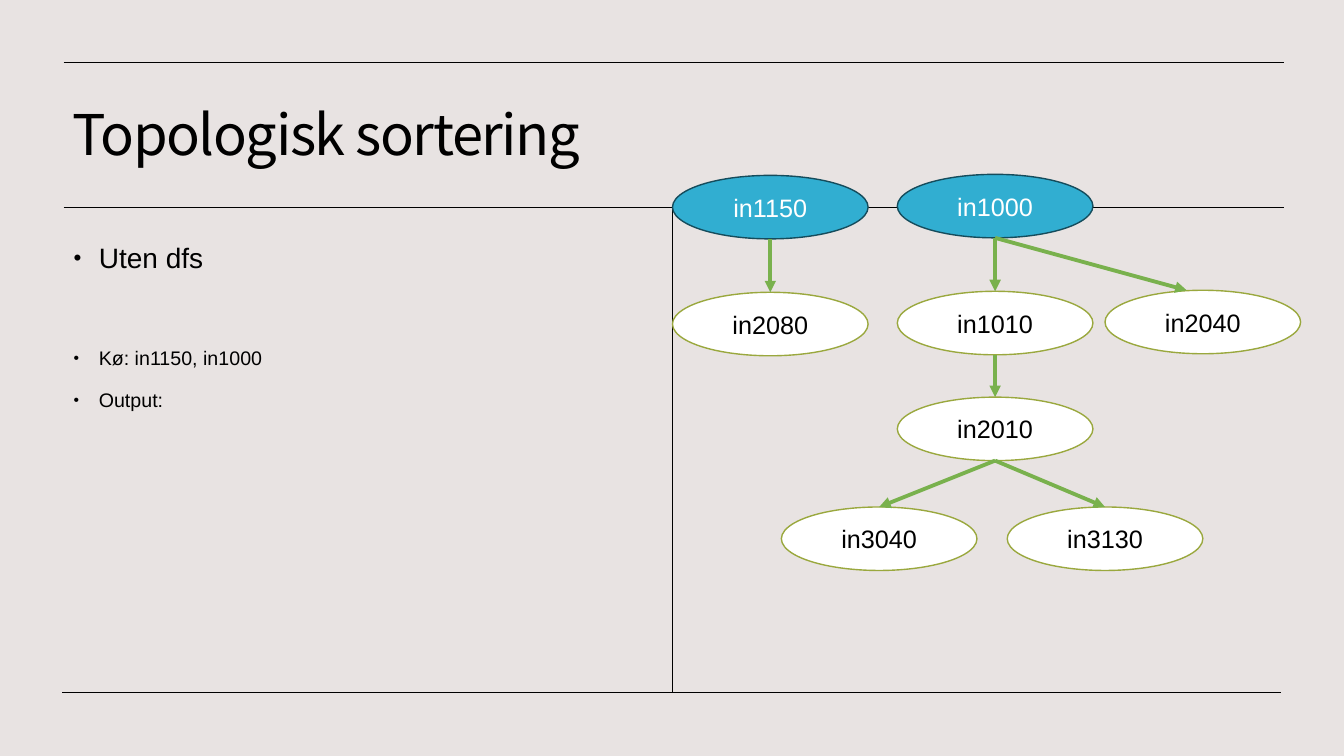
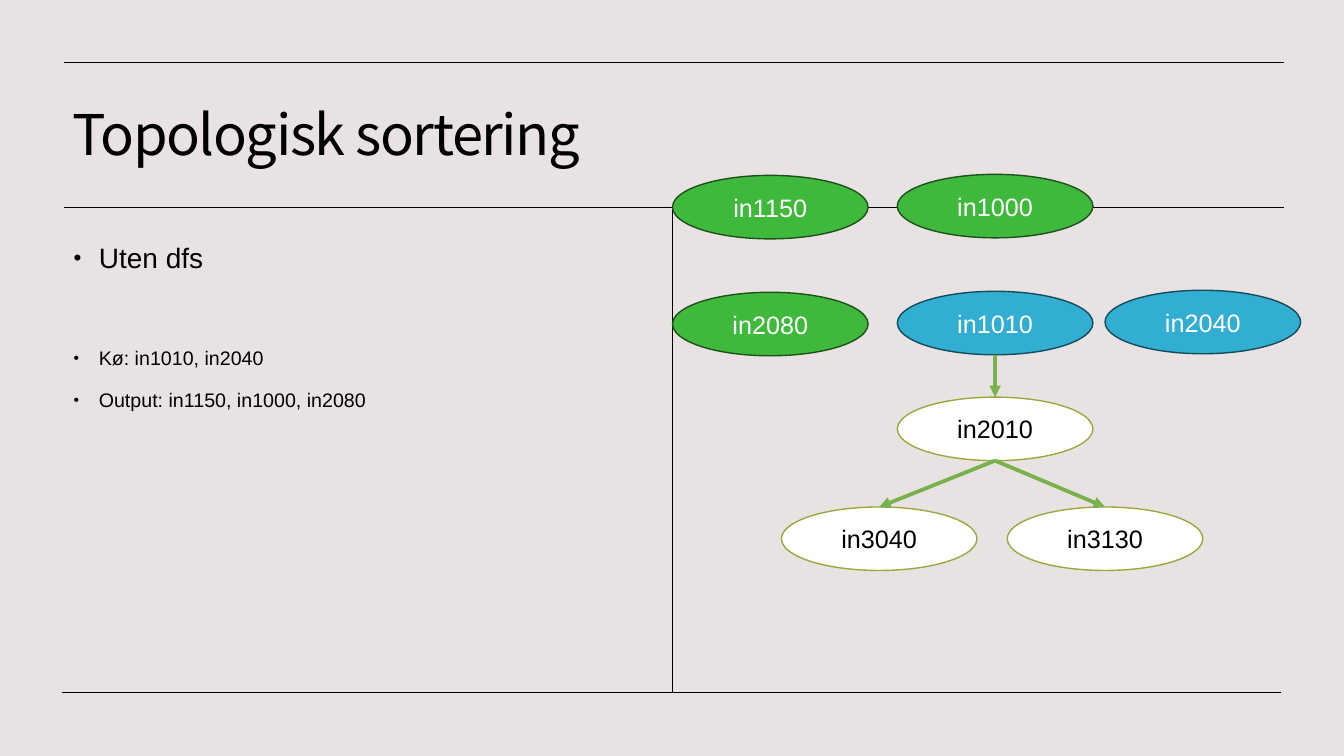
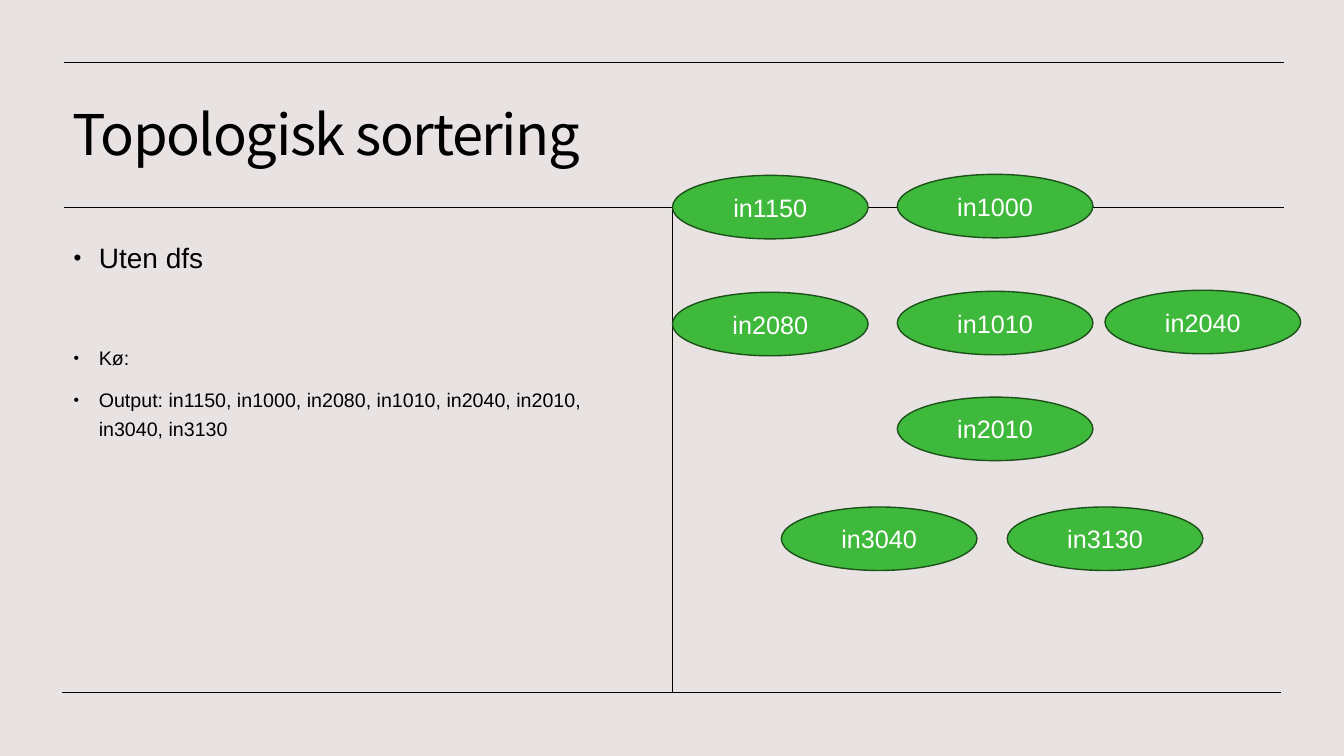
from pptx import Presentation
from pptx.dml.color import RGBColor
from pptx.enum.shapes import MSO_CONNECTOR as Connector, MSO_SHAPE as Shape
from pptx.enum.text import MSO_ANCHOR as Anchor, MSO_AUTO_SIZE as AutoSize, PP_ALIGN as Align
from pptx.oxml.ns import qn
from pptx.util import Inches, Pt
from lxml import etree

# Content: courses, what each one opens for, and the steps of the sort
TITLE = "Topologisk sortering"
METHOD = "Uten dfs"
COURSES = {  # left, top
    "in1150": (6.67, 1.74), "in2080": (6.67, 2.9),
    "in1000": (8.9, 1.73), "in1010": (8.9, 2.89), "in2040": (10.96, 2.88),
    "in2010": (8.9, 3.94), "in3040": (7.75, 5.03), "in3130": (9.99, 5.03),
}
EDGES = [
    ("in1150", "in2080"), ("in1000", "in1010"), ("in1000", "in2040"),
    ("in1010", "in2010"), ("in2010", "in3130"), ("in2010", "in3040"),
]
STEPS = [  # queue, output
    (["in1150", "in1000"], []),
    (["in1010", "in2040"], ["in1150", "in1000", "in2080"]),
    ([], ["in1150", "in1000", "in2080", "in1010", "in2040", "in2010", "in3040", "in3130"]),
]

# Shared look
BACKGROUND, INK, ARROW = "E8E3E2", "000000", "79B14D"
STATES = {  # fill, line, text
    "waiting": ("FFFFFF", "9AA83E", INK),
    "queued": ("31AED1", "154C5C", "FFFFFF"),
    "done": ("3FB93B", "1C511A", "FFFFFF"),
}
TITLE_FONT, BODY_FONT = "Noto Sans CJK KR", "Arial"
TITLE_BOX, BODY_BOX = (0.62, 0.78, 12.08, 1.16), (0.63, 2.27, 5.67, 4.49)
RULES = [(0.62, 6.87, 12.71, 6.87), (0.63, 2.06, 12.73, 2.06),
         (0.63, 0.62, 12.73, 0.62), (6.67, 2.06, 6.67, 6.87)]
OVAL_WIDTH, OVAL_HEIGHT = 1.94, 0.63
SLANTED_END = ("in2040", 11.77, 2.88)  # meets the oval left of its top


def colour(value):
    return RGBColor.from_string(value)


def set_all(target, **values):
    for name, value in values.items():
        setattr(target, name, value)


def style_font(span, name, size, ink=INK):
    set_all(span.font, name=name, size=Pt(size))
    span.font.color.rgb = colour(ink)


def place(box, lengths):
    for name, length in zip(("left", "top", "width", "height"), lengths):
        setattr(box, name, Inches(length))


def add_line(page, ends, ink, width):
    line = page.shapes.add_connector(Connector.STRAIGHT, *map(Inches, ends))
    line.line.color.rgb = colour(ink)
    line.line.width = Pt(width)
    etree.SubElement(line.element.spPr, qn("a:effectLst"))
    return line


def set_up_master(deck, layout):
    fill = deck.slide_master.background.fill
    fill.solid()
    fill.fore_color.rgb = colour(BACKGROUND)
    place(layout.placeholders[0], TITLE_BOX)
    place(layout.placeholders[1], BODY_BOX)


def add_rules(deck, page):
    """Draw the thin rules and move them to the master."""
    for number, ends in enumerate(RULES, start=20):
        rule = add_line(page, ends, INK, 0.5).element
        rule.nvCxnSpPr.cNvPr.id = number
        deck.slide_master.shapes.element.append(rule)


def fill_title(page):
    frame = page.shapes.title.text_frame
    set_all(frame, text=TITLE, auto_size=AutoSize.NONE, vertical_anchor=Anchor.MIDDLE)
    para = frame.paragraphs[0]
    set_all(para, alignment=Align.LEFT, line_spacing=0.9)
    span = para.runs[0]
    style_font(span, TITLE_FONT, 40)
    span.font._element.set("spc", "-100")


def fill_body(page, queue, output):
    lines = [  # text, size, space before
        (METHOD, 20, 10),
        (f"Kø: {', '.join(queue)}".strip(), 14, 48),
        (f"Output: {', '.join(output)}".strip(), 14, 10),
    ]
    frame = page.placeholders[1].text_frame
    set_all(frame, text="\n".join(text for text, _, _ in lines),
            auto_size=AutoSize.NONE, vertical_anchor=Anchor.TOP)
    for para, (_, size, before) in zip(frame.paragraphs, lines):
        set_all(para, line_spacing=1.2, space_before=Pt(before))
        style_font(para.runs[0], BODY_FONT, size)
        props = para._p.get_or_add_pPr()
        props.set("marL", str(Inches(0.25)))
        props.set("indent", str(-Inches(0.25)))
        etree.SubElement(props, qn("a:buSzPct"), val="80000")
        etree.SubElement(props, qn("a:buChar"), char="•")


def add_course(page, name, state):
    fill, edge, ink = STATES[state]
    lengths = (*COURSES[name], OVAL_WIDTH, OVAL_HEIGHT)
    oval = page.shapes.add_shape(Shape.OVAL, *map(Inches, lengths))
    oval.shadow.inherit = False
    oval.fill.solid()
    oval.fill.fore_color.rgb = colour(fill)
    oval.line.color.rgb = colour(edge)
    oval.line.width = Pt(1)
    set_all(oval.text_frame, text=name, vertical_anchor=Anchor.MIDDLE)
    para = oval.text_frame.paragraphs[0]
    para.alignment = Align.CENTER
    style_font(para.runs[0], BODY_FONT, 18, ink)
    return oval


def add_arrow(page, source, target, ovals):
    (left, top), (end_left, end_top) = COURSES[source], COURSES[target]
    start = (left + OVAL_WIDTH / 2, top + OVAL_HEIGHT)
    slanted = target == SLANTED_END[0]
    end = SLANTED_END[1:] if slanted else (end_left + OVAL_WIDTH / 2, end_top)
    arrow = add_line(page, (*start, *end), ARROW, 2.75)
    if not slanted:
        arrow.end_connect(ovals[target], 0)
    etree.SubElement(arrow.line._get_or_add_ln(), qn("a:tailEnd"), type="triangle")


def main():
    deck = Presentation()
    set_all(deck, slide_width=Inches(13.33), slide_height=Inches(7.5))
    layout = deck.slide_layouts[1]
    set_up_master(deck, layout)
    for queue, output in STEPS:
        page = deck.slides.add_slide(layout)
        fill_title(page)
        fill_body(page, queue, output)
        states = {name: "done" if name in output else "queued" if name in queue else "waiting"
                  for name in COURSES}
        ovals = {name: add_course(page, name, state) for name, state in states.items()}
        # A finished course has its arrows taken away
        for source, target in EDGES:
            if source not in output:
                add_arrow(page, source, target, ovals)
    add_rules(deck, deck.slides[0])
    deck.save("out.pptx")


if __name__ == "__main__":
    main()
